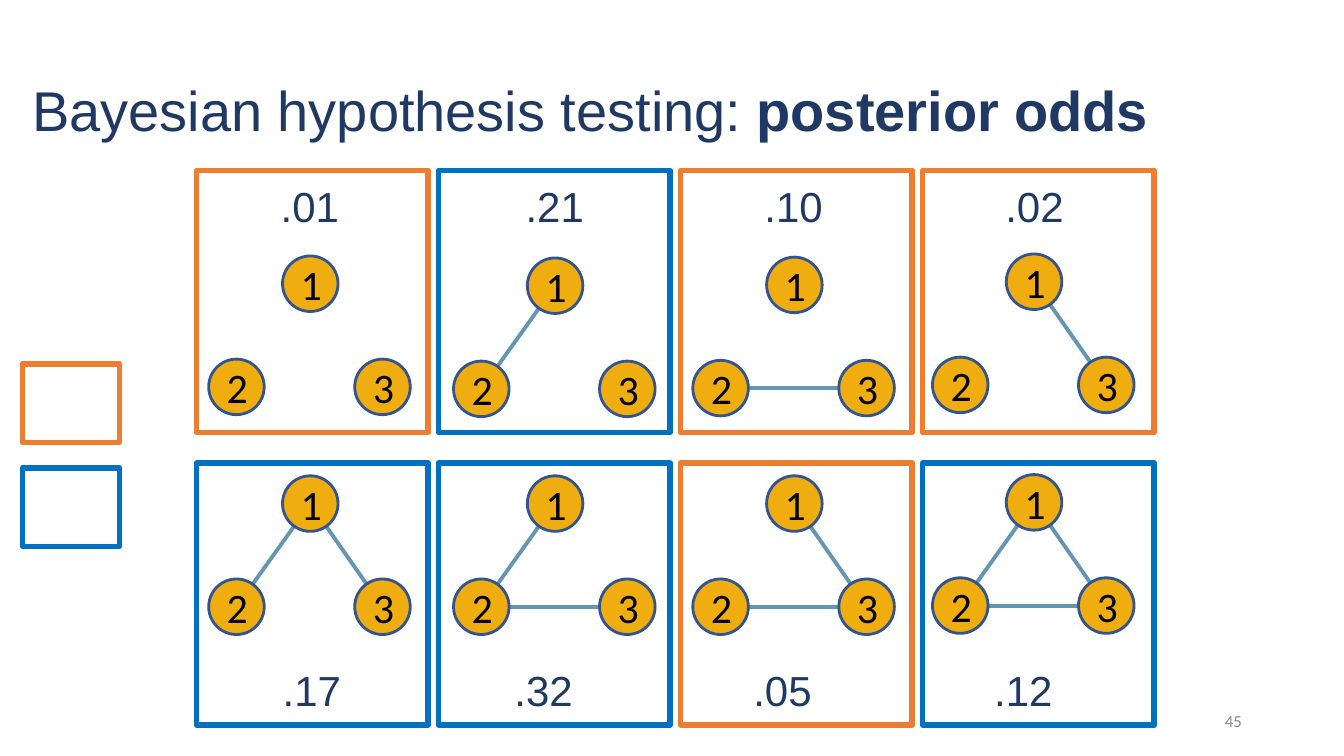
"""Build the slide on posterior odds of eight three-node graphs."""
from lxml import etree
from pptx import Presentation
from pptx.dml.color import RGBColor
from pptx.enum.shapes import MSO_CONNECTOR, MSO_SHAPE
from pptx.enum.text import MSO_ANCHOR, PP_ALIGN
from pptx.oxml.ns import qn
from pptx.util import Cm, Pt

LEFT, MID, RIGHT = PP_ALIGN.LEFT, PP_ALIGN.CENTER, PP_ALIGN.RIGHT
TOP, CENTER = MSO_ANCHOR.TOP, MSO_ANCHOR.MIDDLE
RECT, OVAL = MSO_SHAPE.RECTANGLE, MSO_SHAPE.OVAL
STRAIGHT = MSO_CONNECTOR.STRAIGHT

COLORS = {
    "navy": "203864", "blue": "0070C0", "orange": "ED7D31", "gold": "F0AD0F",
    "rim": "325491", "edge": "6397B1", "black": "000000", "gray": "8C8C8C",
}
FONTS = {
    "title": ({"name": "Arial", "size": Pt(40)}, "navy"),
    "odds": ({"name": "Arial", "size": Pt(30)}, "navy"),
    "node": ({"name": "Calibri", "size": Pt(30)}, "black"),
    "page": ({"name": "Calibri", "size": Pt(12)}, "gray"),
}

DOT = 1.4
NODES = {1: (1.86, 0), 2: (0, 2.6), 3: (3.68, 2.6)}
GRAPH_X = (5.26, 11.43, 17.46, 23.5)
PANEL_X, PANEL_STEP = 4.95, 6.1
ROWS = (
    {"panel": 4.3, "odds": 4.42, "graphs": (
        (".01", 6.81, 6.45, "orange", ()),
        (".21", 12.98, 6.5, "blue", ((1, 2),)),
        (".10", 19.0, 6.48, "orange", ((2, 3),)),
        (".02", 25.07, 6.4, "orange", ((1, 3),)),
    )},
    {"panel": 11.67, "odds": 16.61, "graphs": (
        (".17", 6.86, 11.99, "blue", ((1, 2), (1, 3))),
        (".32", 12.7, 11.99, "blue", ((1, 2), (2, 3))),
        (".05", 18.72, 11.99, "orange", ((1, 3), (2, 3))),
        (".12", 24.79, 11.96, "blue", ((1, 2), (1, 3), (2, 3))),
    )},
)


def color(name):
    """Return the named colour."""
    return RGBColor.from_string(COLORS[name])


def style(run, kind, bold=False):
    """Apply a kind of font to a run."""
    values, tint = FONTS[kind]
    for key, value in {**values, "bold": bold}.items():
        setattr(run.font, key, value)
    run.font.color.rgb = color(tint)


def write(shape, kind, parts, align, anchor, wrap=True):
    """Fill a shape with one paragraph of (text, bold) parts."""
    frame = shape.text_frame
    for key, value in {"word_wrap": wrap, "vertical_anchor": anchor}.items():
        setattr(frame, key, value)
    para = frame.paragraphs[0]
    para.alignment = align
    for text, bold in parts:
        run = para.add_run()
        run.text = text
        style(run, kind, bold)
    return para


def add_text(shapes, box, kind, parts, align, anchor=CENTER, wrap=True):
    """Add a text box and return its paragraph."""
    shape = shapes.add_textbox(*map(Cm, box))
    return write(shape, kind, parts, align, anchor, wrap)


def add_frame(shapes, box, tint):
    """Add an open rectangle."""
    frame = shapes.add_shape(RECT, *map(Cm, box))
    frame.shadow.inherit = False
    frame.fill.background()
    frame.line.color.rgb = color(tint)
    frame.line.width = Pt(4)


def add_edge(shapes, start, end):
    """Add a line between two points."""
    edge = shapes.add_connector(STRAIGHT, *map(Cm, start + end))
    edge.line.color.rgb = color("edge")
    edge.line.width = Pt(2.75)
    etree.SubElement(edge._element.spPr, qn("a:effectLst"))


def add_node(shapes, left, top, label):
    """Add a numbered circle."""
    node = shapes.add_shape(OVAL, *map(Cm, (left, top, DOT, DOT)))
    node.shadow.inherit = False
    node.fill.solid()
    node.fill.fore_color.rgb = color("gold")
    node.line.color.rgb = color("rim")
    node.line.width = Pt(2)
    write(node, "node", [(label, False)], MID, CENTER)


def add_graph(shapes, left, top, edges):
    """Add a group of three nodes and the edges between them."""
    group = shapes.add_group_shape().shapes
    spots = {key: (left + x, top + y) for key, (x, y) in NODES.items()}
    hubs = {key: (x + DOT / 2, y + DOT / 2) for key, (x, y) in spots.items()}
    for start, end in edges:
        add_edge(group, hubs[start], hubs[end])
    for key, (x, y) in spots.items():
        add_node(group, x, y, str(key))


def main():
    """Build and save the slide."""
    deck = Presentation()
    deck.slide_width, deck.slide_height = Cm(33.87), Cm(19.05)
    shapes = deck.slides.add_slide(deck.slide_layouts[6]).shapes

    title = [("Bayesian hypothesis testing: ", False), ("posterior odds", True)]
    para = add_text(shapes, (0.56, 1.02, 30.99, 3.68), "title", title, LEFT)
    para.line_spacing = 0.9

    for row in ROWS:
        for col, (odds, x, y, tint, edges) in enumerate(row["graphs"]):
            add_graph(shapes, GRAPH_X[col], y, edges)
            add_text(shapes, (x, row["odds"], 2, 2.82), "odds",
                     [(odds, False)], MID, TOP, False)
            left = PANEL_X + col * PANEL_STEP
            add_frame(shapes, (left, row["panel"], 5.84, 6.6), tint)

    for top, tint in ((9.17, "orange"), (11.79, "blue")):
        add_frame(shapes, (0.57, top, 2.44, 1.98), tint)
    add_text(shapes, (23.93, 17.65, 7.62, 1.02), "page", [("45", False)], RIGHT)
    deck.save("out.pptx")


if __name__ == "__main__":
    main()
